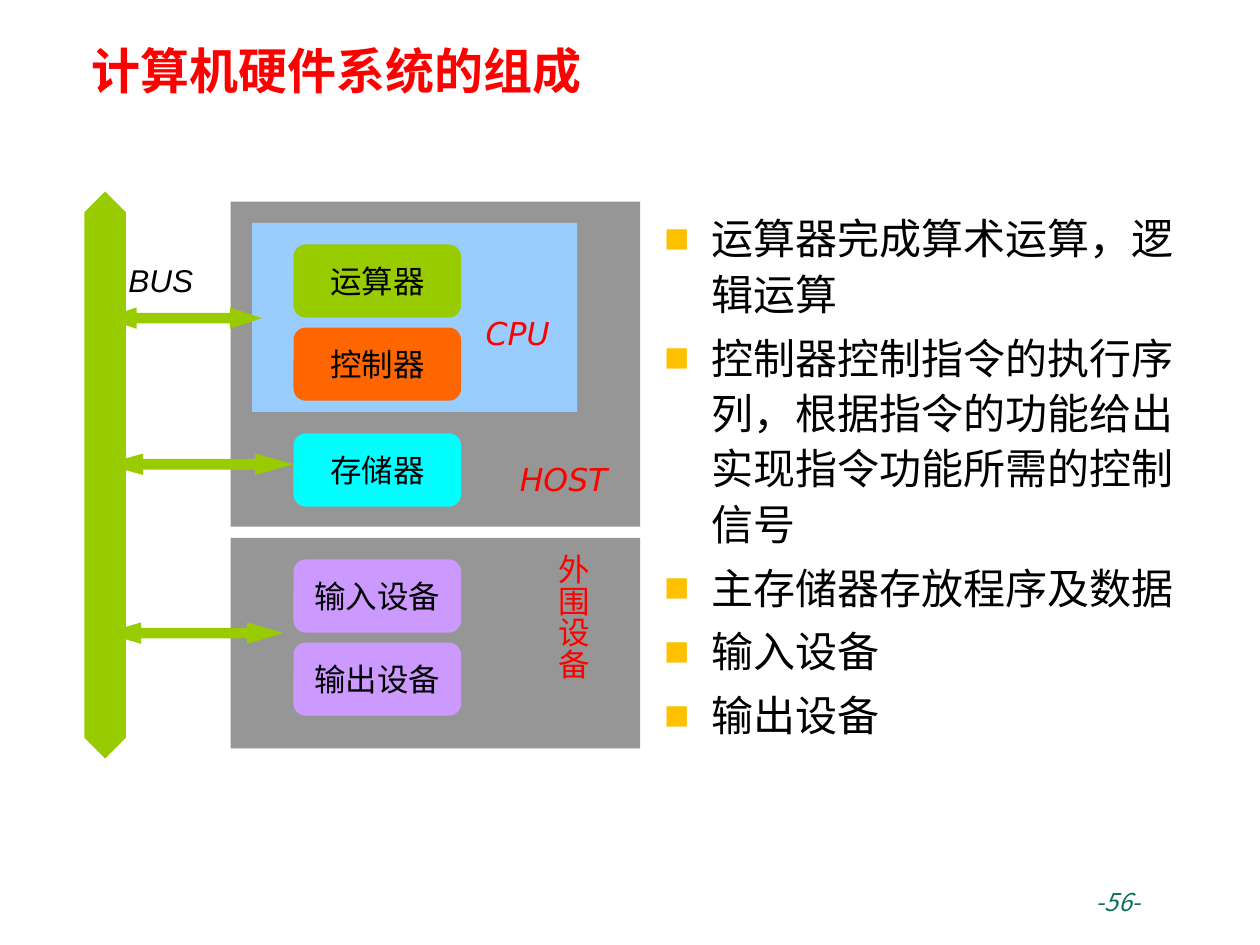
from lxml import etree
from pptx import Presentation
from pptx.dml.color import RGBColor
from pptx.enum.shapes import MSO_SHAPE
from pptx.enum.text import MSO_ANCHOR, MSO_AUTO_SIZE, PP_ALIGN
from pptx.oxml.ns import qn
from pptx.util import Inches, Pt

COLORS = {
    "red": "FF0000", "black": "000000", "gray": "969696", "blue": "99CCFF",
    "green": "99CC00", "orange": "FF6600", "cyan": "00FFFF",
    "purple": "CC99FF", "bullet": "FFC000", "footer": "0D7157",
}
CHINESE_FONT = "Noto Sans CJK SC"

TITLE = "计算机硬件系统的组成"
POINTS = [
    "运算器完成算术运算，逻辑运算",
    "控制器控制指令的执行序列，根据指令的功能给出实现指令功能所需的控制信号",
    "主存储器存放程序及数据",
    "输入设备",
    "输出设备",
]
# Left, top, width, height, colour
PANELS = [
    (1.83, 4.27, 3.25, 1.67, "gray"),
    (1.83, 1.6, 3.25, 2.58, "gray"),
    (2, 1.77, 2.58, 1.5, "blue"),
]
# Top of the stack, then the units in it
UNIT_STACKS = [
    (1.94, [("运算器", "green"), ("控制器", "orange")]),
    (3.44, [("存储器", "cyan")]),
    (4.44, [("输入设备", "purple"), ("输出设备", "purple")]),
]
UNIT_LEFT, UNIT_WIDTH, UNIT_HEIGHT, UNIT_STEP = 2.33, 1.33, 0.58, 0.66
# Top and width of each branch of the bus
BRANCHES = [(2.44, 1.25), (3.6, 1.5), (4.94, 1.42)]
BRANCH_LEFT, BRANCH_HEIGHT = 0.83, 0.17
# Text, box, font, size, colour, italic, alignment
LABELS = [
    ("HOST", (3.92, 3.6, 1, 0.4), "DejaVu Sans", 18, "red", True, PP_ALIGN.RIGHT),
    ("CPU", (3.75, 2.44, 0.71, 0.4), "DejaVu Sans", 18, "red", True, PP_ALIGN.RIGHT),
    ("外围设备", (4.24, 4.3, 0.51, 1.57), "DejaVu Sans", 18, "red", False, PP_ALIGN.CENTER),
    ("BUS", (0.92, 2.02, 0.83, 0.4), "Arial", 18, "black", True, PP_ALIGN.LEFT),
    ("-56-", (8.6, 6.99, 1.06, 0.51), CHINESE_FONT, 14, "footer", True, PP_ALIGN.LEFT),
]
VERTICAL_LABEL = "外围设备"


def rgb(name):
    return RGBColor.from_string(COLORS[name])


def inches(*lengths):
    return [Inches(length) for length in lengths]


def place(shape, box):
    shape.left, shape.top, shape.width, shape.height = inches(*box)


def add_run(paragraph, text, font_name, size, color, bold=False, italic=False):
    run = paragraph.add_run()
    run.text = text
    font = run.font
    font.name, font.size = font_name, Pt(size)
    font.bold, font.italic = bold, italic
    font.color.rgb = rgb(color)
    east_asian = etree.SubElement(run._r.get_or_add_rPr(), qn("a:ea"))
    east_asian.set("typeface", CHINESE_FONT)


def add_filled_shape(slide, kind, box, color):
    shape = slide.shapes.add_shape(kind, *inches(*box))
    shape.shadow.inherit = False
    shape.fill.solid()
    shape.fill.fore_color.rgb = rgb(color)
    shape.line.fill.background()
    return shape


def add_bullet(paragraph):
    properties = paragraph._p.get_or_add_pPr()
    properties.set("marL", str(Inches(0.38)))
    properties.set("indent", str(-Inches(0.38)))
    bullet_color = etree.SubElement(properties, qn("a:buClr"))
    etree.SubElement(bullet_color, qn("a:srgbClr")).set("val", COLORS["bullet"])
    etree.SubElement(properties, qn("a:buFont")).set("typeface", "Arial")
    etree.SubElement(properties, qn("a:buChar")).set("char", "■")


def fill_placeholders(slide):
    title = slide.shapes.title
    place(title, (0.63, -0.11, 8.75, 1.33))
    title.text_frame.vertical_anchor = MSO_ANCHOR.MIDDLE
    title.text_frame.auto_size = MSO_AUTO_SIZE.NONE
    paragraph = title.text_frame.paragraphs[0]
    paragraph.alignment = PP_ALIGN.LEFT
    add_run(paragraph, TITLE, CHINESE_FONT, 28, "red", bold=True)

    body = slide.placeholders[1]
    place(body, (5.17, 1.6, 4.29, 4.67))
    frame = body.text_frame
    frame.auto_size = MSO_AUTO_SIZE.NONE
    for index, point in enumerate(POINTS):
        paragraph = frame.add_paragraph() if index else frame.paragraphs[0]
        add_bullet(paragraph)
        paragraph.line_spacing = 1.1
        paragraph.space_before = Pt(4.8 if index else 0)
        add_run(paragraph, point, CHINESE_FONT, 24, "black")


def add_unit(slide, top, name, color):
    box = (UNIT_LEFT, top, UNIT_WIDTH, UNIT_HEIGHT)
    unit = add_filled_shape(slide, MSO_SHAPE.ROUNDED_RECTANGLE, box, color)
    frame = unit.text_frame
    frame.word_wrap = False
    frame.vertical_anchor = MSO_ANCHOR.MIDDLE
    frame.paragraphs[0].alignment = PP_ALIGN.CENTER
    add_run(frame.paragraphs[0], name, "Arial", 18, "black")


def add_bus(slide):
    bus = add_filled_shape(slide, MSO_SHAPE.UP_DOWN_ARROW, (0.67, 1.52, 0.33, 4.5), "green")
    bus.adjustments[0], bus.adjustments[1] = 0.375, 1.466
    for top, width in BRANCHES:
        box = (BRANCH_LEFT, top, width, BRANCH_HEIGHT)
        branch = add_filled_shape(slide, MSO_SHAPE.LEFT_RIGHT_ARROW, box, "green")
        branch.adjustments[0] = 0.5
        branch.adjustments[1] = 1.2 * width  # heads grow with the branch


def add_label(slide, text, box, font_name, size, color, italic, alignment):
    frame = slide.shapes.add_textbox(*inches(*box)).text_frame
    frame.word_wrap = True
    if text == VERTICAL_LABEL:
        frame._txBody.bodyPr.set("vert", "eaVert")
    frame.paragraphs[0].alignment = alignment
    add_run(frame.paragraphs[0], text, font_name, size, color, italic=italic)


def main():
    presentation = Presentation()
    presentation.slide_width, presentation.slide_height = inches(10, 7.5)
    slide = presentation.slides.add_slide(presentation.slide_layouts[1])
    fill_placeholders(slide)
    for *box, color in PANELS:
        add_filled_shape(slide, MSO_SHAPE.RECTANGLE, box, color)
    for stack_top, units in UNIT_STACKS:
        for row, (name, color) in enumerate(units):
            add_unit(slide, stack_top + row * UNIT_STEP, name, color)
    add_bus(slide)
    for label in LABELS:
        add_label(slide, *label)
    presentation.save("out.pptx")


if __name__ == "__main__":
    main()
